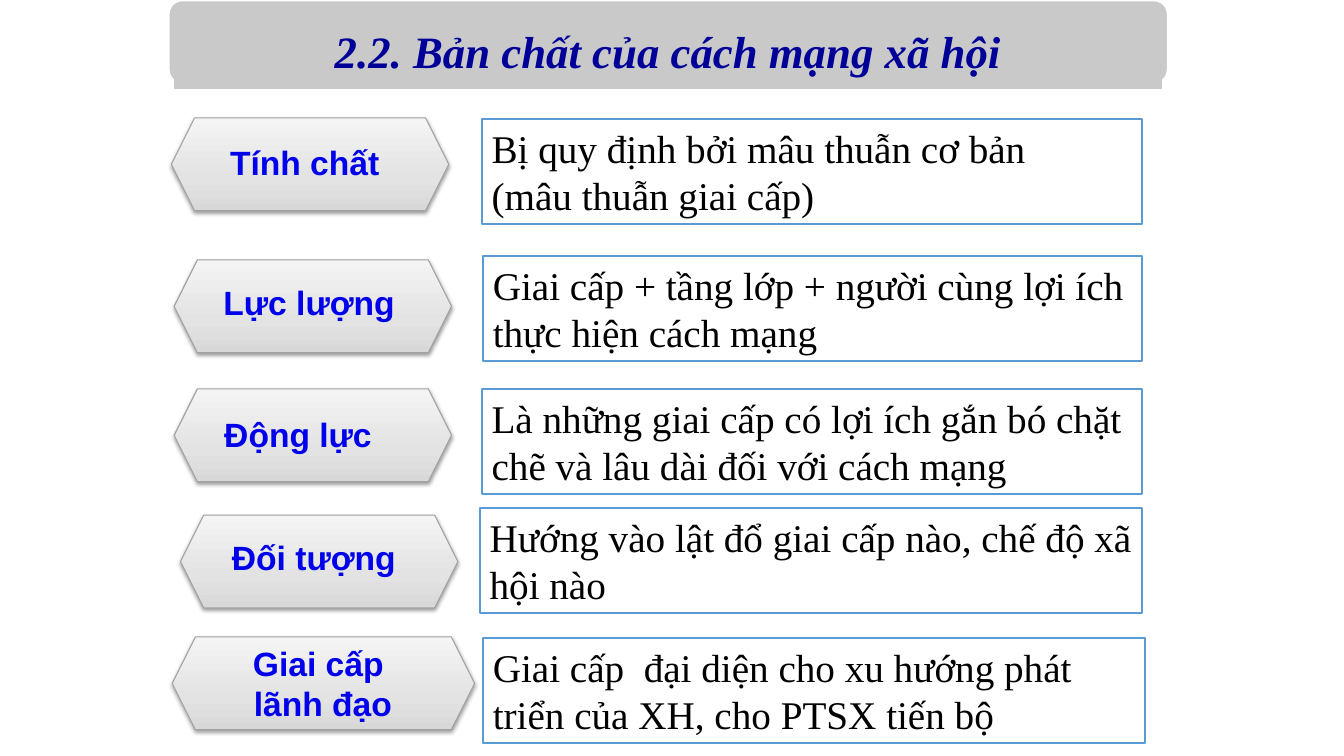
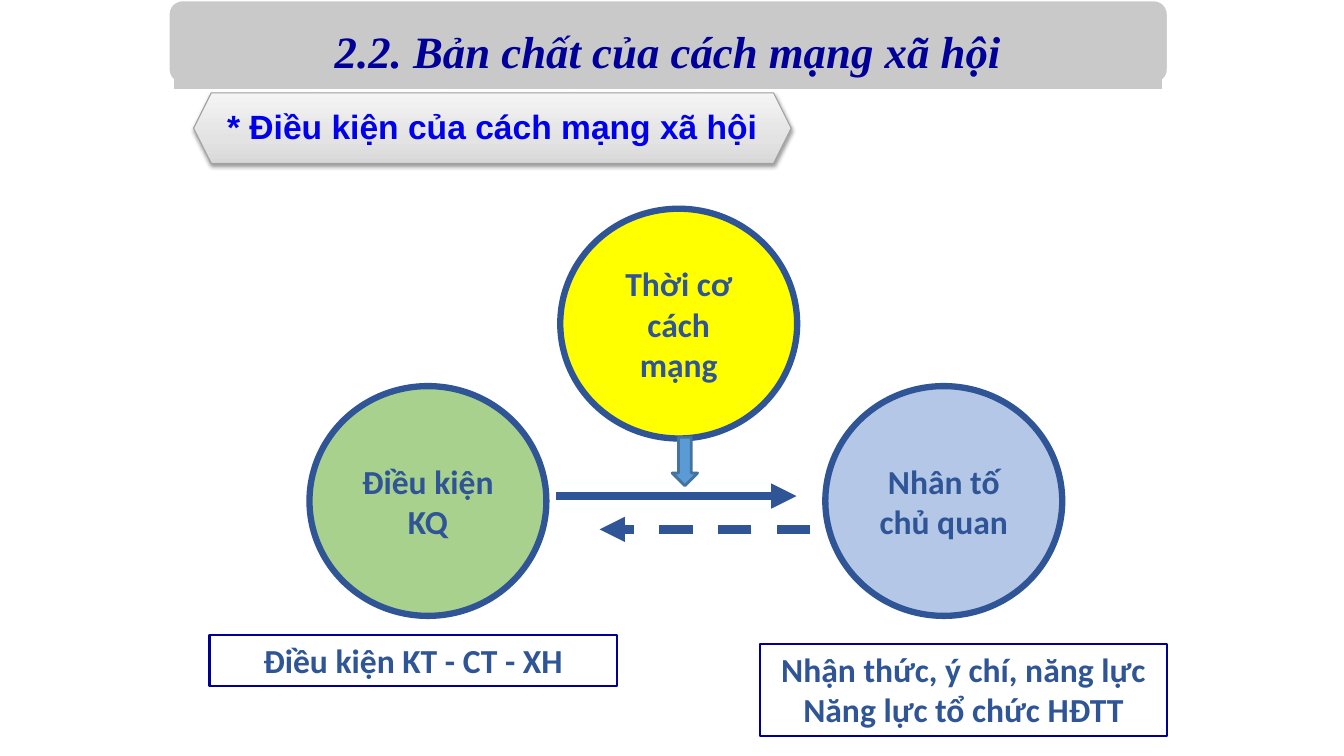
from copy import deepcopy
from dataclasses import dataclass
from lxml.etree import SubElement
from pptx import Presentation
from pptx.dml.color import RGBColor
from pptx.enum.dml import MSO_LINE
from pptx.enum.shapes import MSO_CONNECTOR, MSO_SHAPE
from pptx.enum.text import MSO_ANCHOR, PP_ALIGN
from pptx.oxml.ns import qn
from pptx.util import Cm, Pt


@dataclass(frozen=True)
class TextStyle:
    face: str
    size: int
    color: str
    bold: bool = True
    italic: bool = False
    align: PP_ALIGN = PP_ALIGN.CENTER


@dataclass(frozen=True)
class Theme:
    title: TextStyle = TextStyle("Times New Roman", 32, "000099", italic=True)
    label: TextStyle = TextStyle("Arial", 24, "0000EA")
    detail: TextStyle = TextStyle("Times New Roman", 28, "000000", bold=False, align=PP_ALIGN.LEFT)
    factor: TextStyle = TextStyle("Calibri", 24, "2F5597")
    band: str = "C9C9C9"
    white: str = "FFFFFF"
    navy: str = "000099"
    blue: str = "5B9BD5"
    blue_edge: str = "43739E"
    dark_blue: str = "2F5597"
    yellow: str = "FFFF00"
    green: str = "A9D18E"
    pale_blue: str = "B4C7E7"
    badge_edge: str = "A1A1A1"
    badge_stops: tuple = ((0, "D8D8D8"), (0.35, "E3E3E3"), (1, "F4F4F4"))


THEME = Theme()
TITLE = "2.2. Bản chất của cách mạng xã hội"
BADGE_HEIGHT = 2.34
LABEL_WIDTH = 5.92
DETAIL_HEIGHT = 2.64
CIRCLE_SIZE = (5.97, 5.79)

FEATURES = [
    (["Tính chất"], (4.32, 2.97, 6.99), (4.72, 3.45),
     ["Bị quy định bởi mâu thuẫn cơ bản", "(mâu thuẫn giai cấp)"], (12.14, 3, 16.64)),
    (["Lực lượng"], (4.39, 6.55, 6.99), (4.83, 6.99),
     ["Giai cấp + tầng lớp + người cùng lợi ích thực hiện cách mạng"], (12.17, 6.45, 16.61)),
    (["Động lực"], (4.39, 9.8, 6.99), (4.55, 10.31),
     ["Là những giai cấp có lợi ích gắn bó chặt chẽ và lâu dài đối với cách mạng"],
     (12.14, 9.8, 16.64)),
    (["Đối tượng"], (4.55, 12.98, 6.99), (4.95, 13.41),
     ["Hướng vào lật đổ giai cấp nào, chế độ xã hội nào"], (12.09, 12.8, 16.69)),
    (["Giai cấp ", "lãnh đạo"], (4.34, 16.05, 7.62), (5.18, 16.08),
     ["Giai cấp  đại diện cho xu hướng phát triển của XH, cho PTSX tiến bộ"],
     (12.17, 16.08, 16.69)),
]

FACTORS = [
    ("Điều kiện KQ", 7.8, 9.73, THEME.green),
    ("Nhân tố chủ quan", 20.8, 9.73, THEME.pale_blue),
    ("Thời cơ cách mạng", 14.12, 5.26, THEME.yellow),
]

NOTES = [
    (["Điều kiện KT - CT - XH"], (5.28, 16, 10.26, 1.28)),
    (["Nhận thức, ý chí, năng lực", "Năng lực tổ chức HĐTT"], (19.15, 16.23, 10.26, 2.31)),
]


def write(shape, lines, style, anchor=MSO_ANCHOR.TOP):
    frame = shape.text_frame
    frame.word_wrap = True
    frame.vertical_anchor = anchor
    frame.text = "\n".join(lines)
    for paragraph in frame.paragraphs:
        paragraph.alignment = style.align
        font = paragraph.font
        font.name, font.size = style.face, Pt(style.size)
        font.bold, font.italic = style.bold, style.italic
        font.color.rgb = RGBColor.from_string(style.color)


def add_figure(slide, preset, place, fill=None, edge=None, weight=1.5):
    figure = slide.shapes.add_shape(preset, *map(Cm, place))
    figure.shadow.inherit = False
    if fill:
        figure.fill.solid()
        figure.fill.fore_color.rgb = RGBColor.from_string(fill)
    else:
        figure.fill.background()
    if edge:
        figure.line.color.rgb = RGBColor.from_string(edge)
        figure.line.width = Pt(weight)
    else:
        figure.line.fill.background()
    return figure


def add_header(slide):
    add_figure(slide, MSO_SHAPE.ROUNDED_RECTANGLE, (4.24, 0, 25.2, 2.11),
               THEME.band, THEME.white, 2)
    band = add_figure(slide, MSO_SHAPE.RECTANGLE, (4.39, 0.33, 24.89, 1.91), THEME.band)
    write(band, [TITLE], THEME.title, MSO_ANCHOR.MIDDLE)
    frame = band.text_frame
    frame.margin_left = frame.margin_right = Cm(0.61)
    frame.margin_top = frame.margin_bottom = 0


def add_badge(slide, place, lines, label_place):
    badge = add_figure(slide, MSO_SHAPE.HEXAGON, place, edge=THEME.badge_edge, weight=0.75)
    badge.fill.gradient()
    badge.fill.gradient_angle = 90
    properties = badge._element.spPr
    stop_list = properties.find(qn("a:gradFill")).find(qn("a:gsLst"))
    stop_list.insert(1, deepcopy(stop_list[0]))
    for stop, (position, color) in zip(badge.fill.gradient_stops, THEME.badge_stops):
        stop.position = position
        stop.color.rgb = RGBColor.from_string(color)
    shadow = SubElement(properties.find(qn("a:effectLst")), qn("a:outerShdw"),
                        blurRad=str(Pt(3.1)), dist=str(Pt(1.6)), dir="5400000", rotWithShape="0")
    shade = SubElement(shadow, qn("a:srgbClr"), val="000000")
    SubElement(shade, qn("a:alpha"), val="38000")
    write(slide.shapes.add_textbox(*map(Cm, label_place)), lines, THEME.label)


def add_note(slide, place, lines, style, edge):
    write(add_figure(slide, MSO_SHAPE.RECTANGLE, place, edge=edge), lines, style)


def add_factor(slide, text, left, top, fill):
    circle = add_figure(slide, MSO_SHAPE.OVAL, (left, top, *CIRCLE_SIZE),
                        fill, THEME.dark_blue, 4.5)
    write(circle, [text], THEME.factor, MSO_ANCHOR.MIDDLE)


def add_arrow(slide, start, end, height, dash=None):
    arrow = slide.shapes.add_connector(
        MSO_CONNECTOR.STRAIGHT, Cm(start), Cm(height), Cm(end), Cm(height))
    arrow.line.color.rgb = RGBColor.from_string(THEME.dark_blue)
    arrow.line.width = Pt(6)
    if dash:
        arrow.line.dash_style = dash
    SubElement(arrow.line._get_or_add_ln(), qn("a:tailEnd"), type="triangle")
    SubElement(arrow._element.spPr, qn("a:effectLst"))


def build_features(slide):
    add_header(slide)
    for label, (left, top, width), label_corner, detail, detail_place in FEATURES:
        label_height = 1.28 if len(label) == 1 else 2.31
        add_badge(slide, (left, top, width, BADGE_HEIGHT), label,
                  (*label_corner, LABEL_WIDTH, label_height))
        add_note(slide, (*detail_place, DETAIL_HEIGHT), detail, THEME.detail, THEME.blue)


def build_conditions(slide):
    add_header(slide)
    add_arrow(slide, 14.02, 20.07, 12.5)
    add_arrow(slide, 20.42, 15.11, 13.34, MSO_LINE.DASH)
    add_badge(slide, (4.88, 2.34, 15.06, 1.78), ["* Điều kiện của cách mạng xã hội"],
              (5.28, 2.54, 14.25, 1.28))
    for factor in FACTORS:
        add_factor(slide, *factor)
    for lines, place in NOTES:
        add_note(slide, place, lines, THEME.factor, THEME.navy)
    add_figure(slide, MSO_SHAPE.DOWN_ARROW, (16.94, 11.02, 0.64, 1.22),
               THEME.blue, THEME.blue_edge, 2)


def main():
    deck = Presentation()
    deck.slide_width, deck.slide_height = Cm(33.87), Cm(19.05)
    for build in (build_features, build_conditions):
        build(deck.slides.add_slide(deck.slide_layouts[6]))
    deck.save("out.pptx")


if __name__ == "__main__":
    main()
